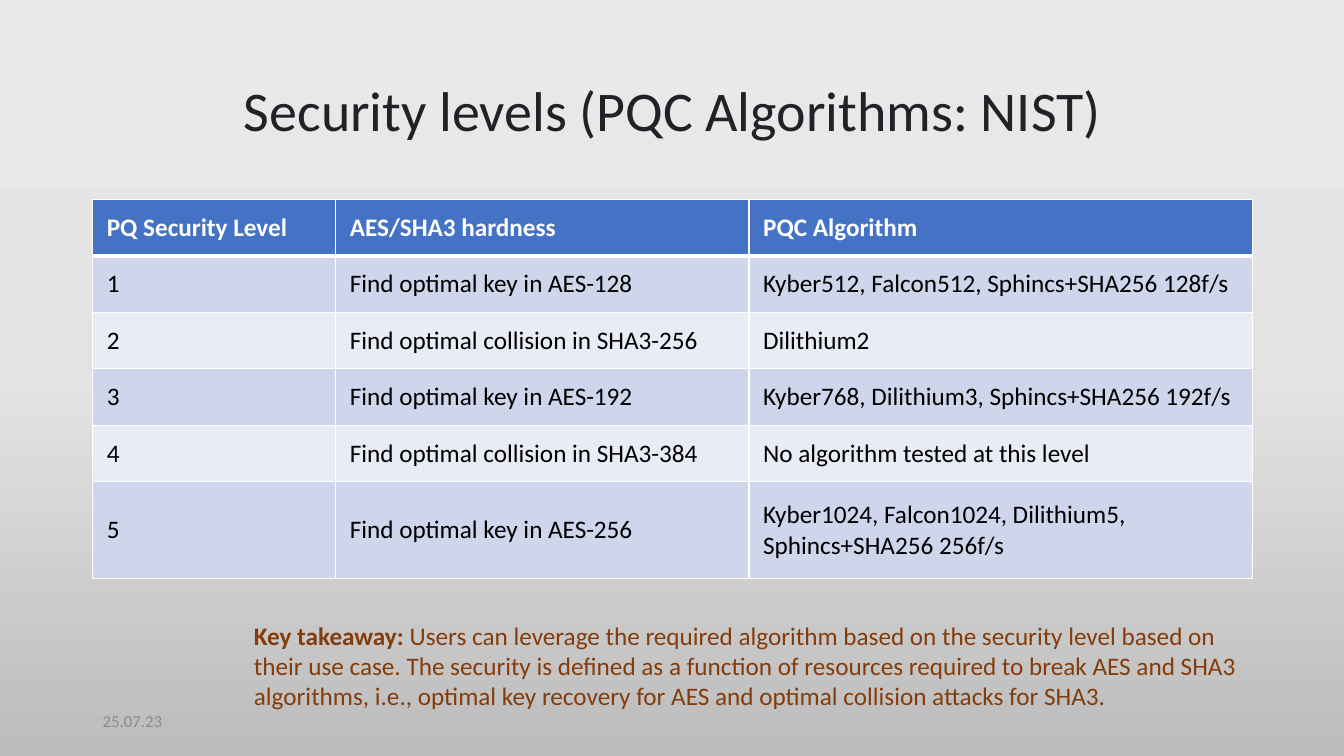
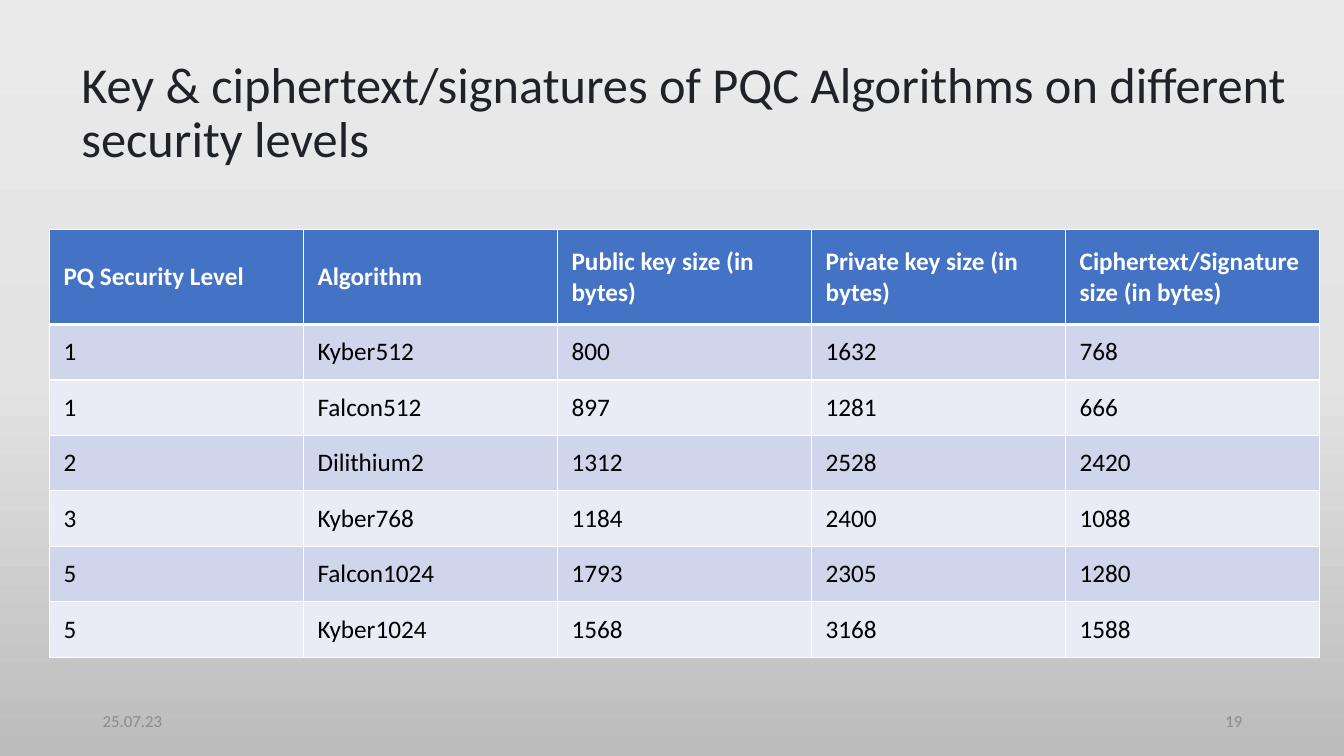
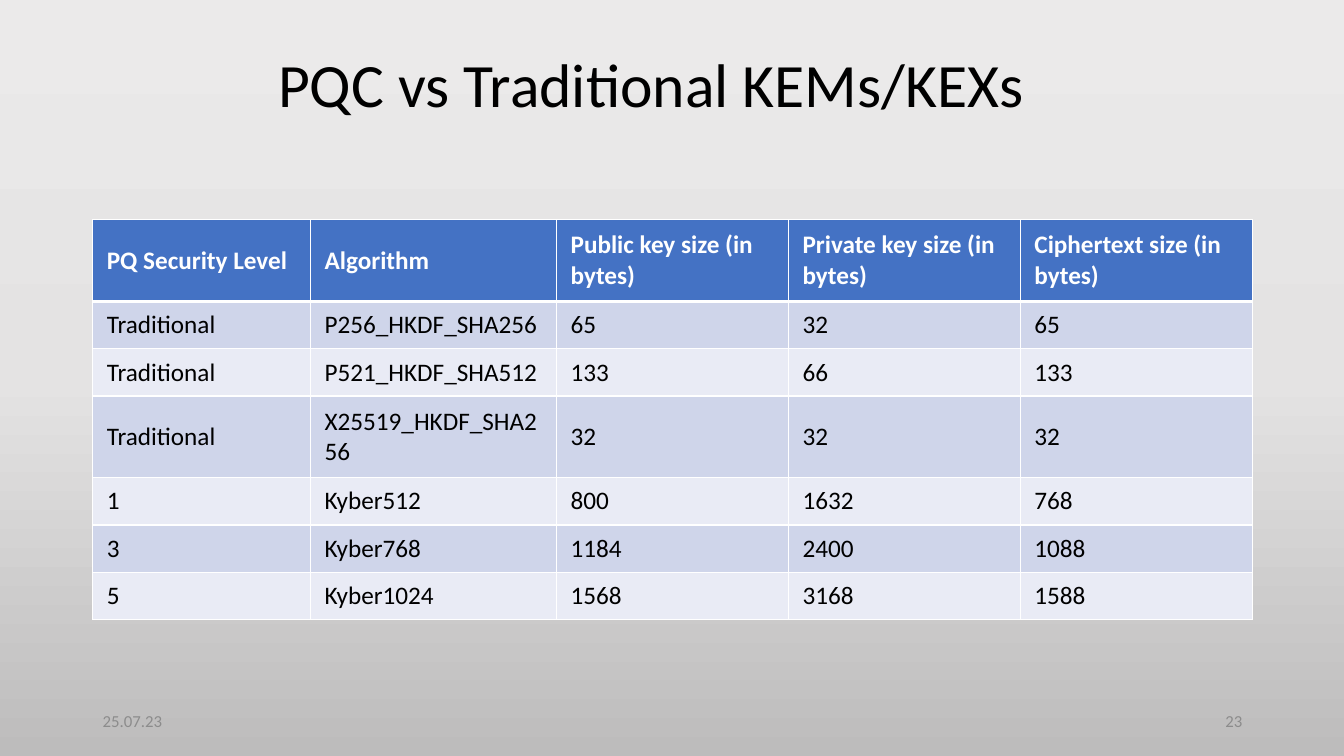
from copy import deepcopy

from lxml.etree import SubElement
from pptx import Presentation
from pptx.dml.color import RGBColor
from pptx.enum.text import MSO_ANCHOR, PP_ALIGN
from pptx.oxml.ns import qn
from pptx.util import Inches, Pt


def color(hex_string):
    return RGBColor.from_string(hex_string)


class Deck:
    FONT = "Calibri"
    BACKGROUND = [(0, "EBEAEA"), (0.5, "E4E3E3"), (1, "BDBCBC")]
    TITLE = "1F2328"
    BLACK = "000000"
    WHITE = "FFFFFF"
    HEADER = "4472C4"
    BANDS = ["E9EBF5", "CFD5EA"]
    FOOTER = "8C8C8C"
    ACCENT = "843C0B"
    DATE = "25.07.23"

    def __init__(self):
        self.presentation = Presentation()
        self.presentation.slide_width = Inches(13.33)
        self.presentation.slide_height = Inches(7.5)
        self.slide = None

    def add_slide(self, number=None):
        layout = self.presentation.slide_layouts[6]
        self.slide = self.presentation.slides.add_slide(layout)
        self.paint_background()
        self.footer(0.92, self.DATE, PP_ALIGN.LEFT)
        if number:
            self.footer(9.42, number, PP_ALIGN.RIGHT)

    def paint_background(self):
        fill = self.slide.background.fill
        fill.gradient()
        fill.gradient_angle = 270
        stop_list = next(self.slide.element.iter(qn("a:gsLst")))
        stop_list.insert(1, deepcopy(stop_list[0]))
        for stop, (position, shade) in zip(fill.gradient_stops, self.BACKGROUND):
            stop.position = position
            stop.color.rgb = color(shade)

    def add_run(self, paragraph, text, size, shade, bold=False):
        run = paragraph.add_run()
        run.text = text
        run.font.name = self.FONT
        run.font.size = Pt(size)
        run.font.bold = bold
        run.font.color.rgb = color(shade)

    def text_box(self, left, top, width, height, alignment=PP_ALIGN.LEFT):
        shape = self.slide.shapes.add_textbox(
            Inches(left), Inches(top), Inches(width), Inches(height))
        frame = shape.text_frame
        frame.word_wrap = True
        frame.vertical_anchor = MSO_ANCHOR.MIDDLE
        paragraph = frame.paragraphs[0]
        paragraph.alignment = alignment
        return paragraph

    def title(self, text, left, top, width, size, shade=TITLE,
              alignment=PP_ALIGN.LEFT):
        paragraph = self.text_box(left, top, width, 1.45, alignment)
        paragraph.line_spacing = 0.9
        self.add_run(paragraph, text, size, shade)

    def footer(self, left, text, alignment):
        paragraph = self.text_box(left, 6.95, 3, 0.4, alignment)
        self.add_run(paragraph, text, 12, self.FOOTER)

    def takeaway(self, label, text):
        paragraph = self.text_box(2.42, 6.4, 10.06, 0.4)
        self.add_run(paragraph, label, 18, self.ACCENT, True)
        self.add_run(paragraph, text, 18, self.ACCENT)

    def table(self, left, top, widths, heights, rows):
        table = self.slide.shapes.add_table(
            len(rows), len(widths), Inches(left), Inches(top),
            Inches(sum(widths)), Inches(sum(heights))).table
        for column, width in zip(table.columns, widths):
            column.width = Inches(width)
        for row, height in zip(table.rows, heights):
            row.height = Inches(height)
        for row_index, texts in enumerate(rows):
            for column_index, text in enumerate(texts):
                self.fill_cell(table.cell(row_index, column_index), text, row_index)

    def fill_cell(self, cell, text, row_index):
        is_header = row_index == 0
        cell.margin_left = cell.margin_right = Inches(0.14)
        cell.margin_top = cell.margin_bottom = Inches(0.06)
        cell.vertical_anchor = MSO_ANCHOR.MIDDLE
        self.add_run(cell.text_frame.paragraphs[0], text, 18,
                     self.WHITE if is_header else self.BLACK, is_header)
        self.border(cell, "L", 1)
        self.border(cell, "R", 1)
        self.border(cell, "T", 3 if row_index == 1 else 1)
        self.border(cell, "B", 3 if is_header else 1)
        cell.fill.solid()
        cell.fill.fore_color.rgb = color(
            self.HEADER if is_header else self.BANDS[row_index % 2])

    def border(self, cell, side, width):
        properties = cell._tc.get_or_add_tcPr()
        line = SubElement(properties, qn(f"a:ln{side}"), w=str(Pt(width)))
        fill = SubElement(line, qn("a:solidFill"))
        SubElement(fill, qn("a:srgbClr"), val=self.WHITE)


def main():
    deck = Deck()
    size_headers = ["PQ Security Level", "Algorithm", "Public key size (in bytes)",
                    "Private key size (in bytes)"]
    kyber512 = ["1", "Kyber512", "800", "1632", "768"]
    kyber768 = ["3", "Kyber768", "1184", "2400", "1088"]
    kyber1024 = ["5", "Kyber1024", "1568", "3168", "1588"]

    deck.add_slide()
    deck.title("Security levels (PQC Algorithms: NIST)", 0.92, 0.4, 11.5, 40,
               alignment=PP_ALIGN.CENTER)
    deck.table(0.92, 1.98, [2.41, 4.1, 4.99], [0.56] * 5 + [0.96], [
        ["PQ Security Level", "AES/SHA3 hardness", "PQC Algorithm"],
        ["1", "Find optimal key in AES-128", "Kyber512, Falcon512, Sphincs+SHA256 128f/s"],
        ["2", "Find optimal collision in SHA3-256", "Dilithium2"],
        ["3", "Find optimal key in AES-192", "Kyber768, Dilithium3, Sphincs+SHA256 192f/s"],
        ["4", "Find optimal collision in SHA3-384", "No algorithm tested at this level"],
        ["5", "Find optimal key in AES-256",
         "Kyber1024, Falcon1024, Dilithium5, Sphincs+SHA256 256f/s"],
    ])
    deck.takeaway(
        "Key takeaway: ",
        "Users can leverage the required algorithm based on the security level "
        "based on their use case. The security is defined as a function of "
        "resources required to break AES and SHA3 algorithms, i.e., optimal key "
        "recovery for AES and optimal collision attacks for SHA3.")

    deck.add_slide("19")
    deck.title("Key & ciphertext/signatures of PQC Algorithms on different security levels",
               0.71, 0.41, 12.2, 36)
    deck.table(0.49, 2.28, [2.52] * 5, [0.94] + [0.55] * 6, [
        size_headers + ["Ciphertext/Signature size (in bytes)"],
        kyber512,
        ["1", "Falcon512", "897", "1281", "666"],
        ["2", "Dilithium2", "1312", "2528", "2420"],
        kyber768,
        ["5", "Falcon1024", "1793", "2305", "1280"],
        kyber1024,
    ])

    deck.add_slide("23")
    deck.title("PQC vs Traditional KEMs/KEXs", 2.66, 0.14, 11.5, 44, Deck.BLACK)
    deck.table(0.92, 2.18, [2.16, 2.44] + [2.3] * 3,
               [0.81, 0.47, 0.47, 0.81, 0.47, 0.47, 0.47], [
        size_headers + ["Ciphertext size (in bytes)"],
        ["Traditional", "P256_HKDF_SHA256", "65", "32", "65"],
        ["Traditional", "P521_HKDF_SHA512", "133", "66", "133"],
        ["Traditional", "X25519_HKDF_SHA256", "32", "32", "32"],
        kyber512,
        kyber768,
        kyber1024,
    ])

    deck.presentation.save("out.pptx")


if __name__ == "__main__":
    main()
